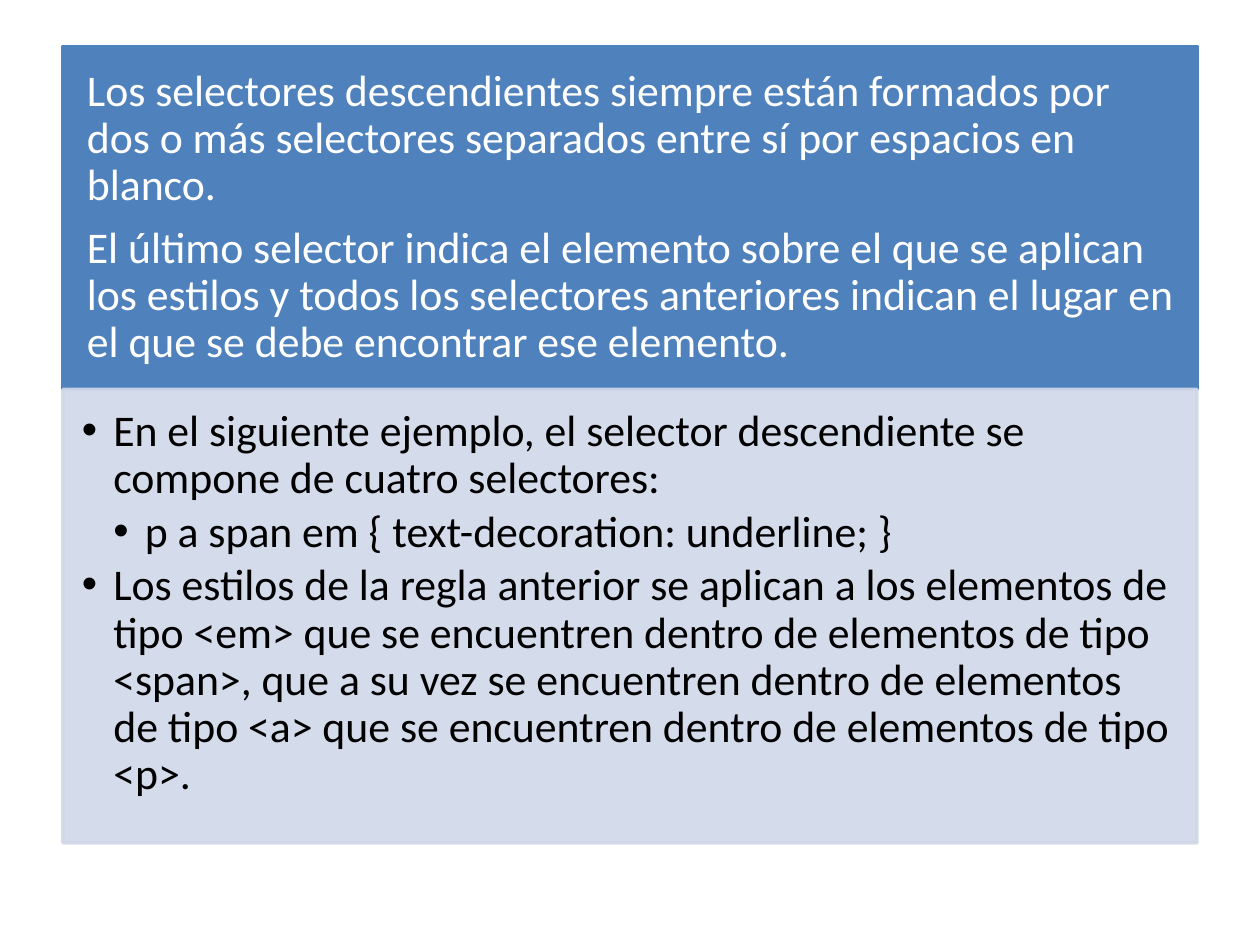
from lxml import etree
from pptx import Presentation
from pptx.dml.color import RGBColor
from pptx.enum.shapes import MSO_SHAPE
from pptx.enum.text import MSO_ANCHOR, PP_ALIGN
from pptx.oxml.ns import qn
from pptx.util import Inches, Pt

RECT = MSO_SHAPE.RECTANGLE
TOP, MIDDLE = MSO_ANCHOR.TOP, MSO_ANCHOR.MIDDLE
LEFT = PP_ALIGN.LEFT
BLUE = RGBColor(0x4F, 0x81, 0xBD)
PALE = RGBColor(0xD0, 0xD8, 0xE8)
WHITE = RGBColor(0xFF, 0xFF, 0xFF)
BLACK = RGBColor(0x00, 0x00, 0x00)

RULES = [
    "Los selectores descendientes siempre están formados por dos o más selectores "
    "separados entre sí por espacios en blanco.",
    "El último selector indica el elemento sobre el que se aplican los estilos y todos "
    "los selectores anteriores indican el lugar en el que se debe encontrar ese elemento.",
]
POINTS = [
    (1, "En el siguiente ejemplo, el selector descendiente se compone de cuatro selectores:"),
    (2, "p a span em { text-decoration: underline; }"),
    (1, "Los estilos de la regla anterior se aplican a los elementos de tipo <em> que se "
        "encuentren dentro de elementos de tipo <span>, que a su vez se encuentren dentro "
        "de elementos de tipo <a> que se encuentren dentro de elementos de tipo <p>."),
]


def add_text(para, text, color, after, level=0, size=25, font="Calibri"):
    para.alignment = LEFT
    para.line_spacing = 0.9
    para.space_after = Pt(after)
    run = para.add_run()
    run.text = text
    run.font.size = Pt(size)
    run.font.name = font
    run.font.color.rgb = color
    if level:
        para.level = level
        props = para._p.get_or_add_pPr()
        props.set("marL", str(Inches(0.25 * level)))
        props.set("indent", str(Inches(-0.25)))
        etree.SubElement(props, qn("a:buFont"), typeface="Arial")
        etree.SubElement(props, qn("a:buChar"), char="•")


def add_panel(slide, box, color, anchor, insets, alpha=100):
    shape = slide.shapes.add_shape(RECT, *map(Inches, box))
    shape.shadow.inherit = False
    shape.fill.solid()
    shape.fill.fore_color.rgb = color
    shape.line.color.rgb = color
    shape.line.width = Pt(2)
    if alpha < 100:
        for tint in shape._element.spPr.iter(qn("a:srgbClr")):
            etree.SubElement(tint, qn("a:alpha"), val=str(alpha * 1000))
    frame = shape.text_frame
    frame.word_wrap = True
    frame.vertical_anchor = anchor
    (frame.margin_left, frame.margin_top,
     frame.margin_right, frame.margin_bottom) = map(Inches, insets)
    return frame


def add_lines(frame, items, color, after):
    for i, (level, text) in enumerate(items):
        para = frame.add_paragraph() if i else frame.paragraphs[0]
        add_text(para, text, color, after, level=level)


def add_head(slide, box):
    frame = add_panel(slide, box, BLUE, MIDDLE, (0.19, 0.11, 0.19, 0.11))
    add_lines(frame, [(0, text) for text in RULES], WHITE, 8.75)


def add_body(slide, box):
    frame = add_panel(slide, box, PALE, TOP, (0.15, 0.15, 0.19, 0.22), alpha=90)
    add_lines(frame, POINTS, BLACK, 3.75)


def main():
    deck = Presentation()
    deck.slide_width, deck.slide_height = Inches(10), Inches(7.5)
    slide = deck.slides.add_slide(deck.slide_layouts[6])
    left, top, width, head, body = 0.5, 0.37, 9, 2.72, 3.6
    add_head(slide, (left, top, width, head))
    add_body(slide, (left, top + head, width, body))
    deck.save("out.pptx")


if __name__ == "__main__":
    main()
